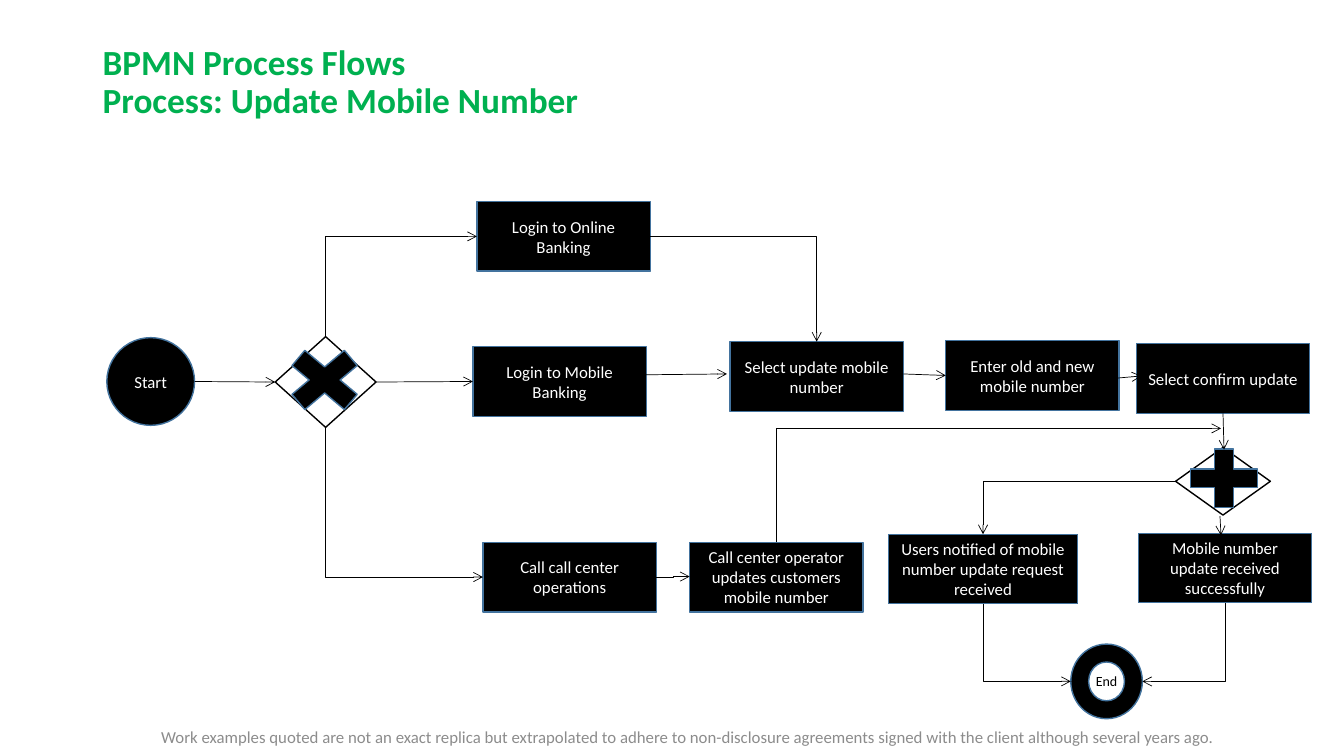
from lxml import etree
from pptx import Presentation
from pptx import util as u
from pptx.dml.color import RGBColor
from pptx.enum import shapes, text
from pptx.oxml.ns import qn

COLORS = {"black": "000000", "white": "FFFFFF", "edge": "43739E",
          "title": "00B050", "footer": "8C8C8C"}
FONT = "Calibri"
GRID = 0.1  # inches per column and per row
TASK_W, TASK_H = 17.2, 6.9
KIND = shapes.MSO_SHAPE

# column, row, label
TASKS = {
    "online": (47.3, 20, "Login to Online Banking"),
    "call": (47.9, 53.8, "Call call center operations"),
    "mobile": (46.9, 34.4, "Login to Mobile Banking"),
    "select": (72.4, 33.9, "Select update mobile number"),
    "enter": (93.8, 33.8, "Enter old and new mobile number"),
    "confirm": (112.7, 34.1, "Select confirm update"),
    "received": (112.9, 52.9, "Mobile number update received successfully"),
    "operator": (68.4, 53.8, "Call center operator updates customers mobile number"),
}
# kind, box, fill, edge
GATEWAYS = {
    "join": (KIND.DIAMOND, (116.6, 44.4, 9.4, 6.7), "white", "black"),
    "choice": (KIND.FLOWCHART_DECISION, (27.3, 33.4, 10, 9), "white", "black"),
    "plus": (KIND.MATH_PLUS, (116.9, 43.5, 9, 7.9), "black", "edge"),
    "cross": (KIND.MATH_MULTIPLY, (27.2, 33.5, 10, 8.4), "black", "edge"),
}
# from, to, leaves vertically
CORNERS = [
    (("choice", "top"), ("online", "left"), True),
    (("choice", "bottom"), ("call", "left"), True),
    (("online", "right"), (81, 33.9), False),
    (("join", "left"), ("notified", "top"), False),
    (("received", "bottom"), ("end", "right"), True),
    (("notified", "bottom"), ("end", "left"), True),
    (("operator", "top"), (121.1, 42.5), True),
]
STRAIGHTS = [
    (("start", "right"), ("choice", "left")),
    (("choice", "right"), ("mobile", "left")),
    ((62.4, 37.2), (72.1, 37.1)),
    ((89.6, 37.1), ("enter", "left")),
    ((110.9, 37.5), (113.2, 37.3)),
    (("confirm", "bottom"), (121.4, 44.6)),
    ((121, 51.2), (121.1, 53.1)),
]


def grid(cells):
    return u.Inches(cells * GRID)


def rgb(name):
    return RGBColor.from_string(COLORS[name])


def write(frame, words, *, size=12, color="white", bold=False,
          align=text.PP_ALIGN.CENTER, spacing=None):
    frame.word_wrap = True
    frame.vertical_anchor = text.MSO_ANCHOR.MIDDLE
    paragraph = frame.paragraphs[0]
    paragraph.text = words
    paragraph.alignment = align
    paragraph.line_spacing = spacing
    for run in paragraph.runs:
        run.font.name, run.font.size, run.font.bold = FONT, u.Pt(size), bold
        run.font.color.rgb = rgb(color)


def caption(slide, box, words, **style):
    write(slide.shapes.add_textbox(*map(grid, box)).text_frame, words, **style)


def node(slide, kind, box, fill="black", edge="edge", label=None, **style):
    symbol = slide.shapes.add_shape(kind, *map(grid, box))
    symbol.shadow.inherit = False
    symbol.fill.solid()
    symbol.fill.fore_color.rgb = rgb(fill)
    symbol.line.color.rgb = rgb(edge)
    symbol.line.width = u.Pt(1)
    if label:
        write(symbol.text_frame, label, **style)
    return box


def port(boxes, place):
    """Grid point of a (node, side) pair; a plain point is returned as it is."""
    if place[0] not in boxes:
        return place
    name, side = place
    left, top, width, height = boxes[name]
    across, down = {"left": (0, 0.5), "right": (1, 0.5),
                    "top": (0.5, 0), "bottom": (0.5, 1)}[side]
    return left + width * across, top + height * down


def flow(slide, start, finish, kind=shapes.MSO_CONNECTOR.STRAIGHT):
    arrow = slide.shapes.add_connector(kind, *map(grid, (*start, *finish)))
    arrow.line.color.rgb = rgb("black")
    arrow.line.width = u.Pt(0.5)
    etree.SubElement(arrow.line._get_or_add_ln(), qn("a:tailEnd"), type="arrow")
    etree.SubElement(arrow._element.spPr, qn("a:effectLst"))
    return arrow


def corner_flow(slide, start, finish, vertical):
    """One-bend arrow; a vertical start is a quarter turn of a horizontal one."""
    (x1, y1), (x2, y2) = start, finish
    if vertical:
        turn = 1 if y2 > y1 else -1
        mid_x, mid_y = (x1 + x2) / 2, (y1 + y2) / 2
        half_w, half_h = abs(y2 - y1) / 2, turn * (x1 - x2) / 2
        start = mid_x - half_w, mid_y - half_h
        finish = mid_x + half_w, mid_y + half_h
    arrow = flow(slide, start, finish, shapes.MSO_CONNECTOR.ELBOW)
    props = arrow._element.spPr
    props.find(qn("a:prstGeom")).set("prst", "bentConnector2")
    if vertical:
        props.find(qn("a:xfrm")).set("rot", str(turn % 4 * 90 * 60000))


def main():
    deck = Presentation()
    deck.slide_width, deck.slide_height = u.Inches(13.33), u.Inches(7.5)
    slide = deck.slides.add_slide(deck.slide_layouts[6])

    caption(slide, (9.2, 4, 115, 8.4),
            "BPMN Process Flows\nProcess: Update Mobile Number", size=25.2,
            color="title", bold=True, align=text.PP_ALIGN.LEFT, spacing=0.9)

    boxes = {name: node(slide, *gateway) for name, gateway in GATEWAYS.items()}
    boxes["start"] = node(slide, KIND.OVAL, (10.6, 33.5, 8.7, 8.7), label="Start")
    boxes["end"] = node(slide, KIND.DONUT, (106.2, 63.9, 7.1, 7.4),
                        label="End", size=10, color="black")
    for name, (column, row, label) in TASKS.items():
        boxes[name] = node(slide, KIND.RECTANGLE, (column, row, TASK_W, TASK_H),
                           label=label)
    boxes["notified"] = node(
        slide, KIND.RECTANGLE, (88.1, 53, 18.8, TASK_H),
        label="Users notified of mobile number update request received")

    for start, finish in STRAIGHTS:
        flow(slide, port(boxes, start), port(boxes, finish))
    for start, finish, vertical in CORNERS:
        corner_flow(slide, port(boxes, start), port(boxes, finish), vertical)
    flow(slide, (65.1, 57.3), (68.4, 57.2), shapes.MSO_CONNECTOR.ELBOW)

    caption(slide, (3.4, 71.7, 129.7, 2.7),
            "Work examples quoted are not an exact replica but extrapolated to "
            "adhere to non-disclosure agreements signed with the client although "
            "several years ago.", color="footer")
    deck.save("out.pptx")


if __name__ == "__main__":
    main()
